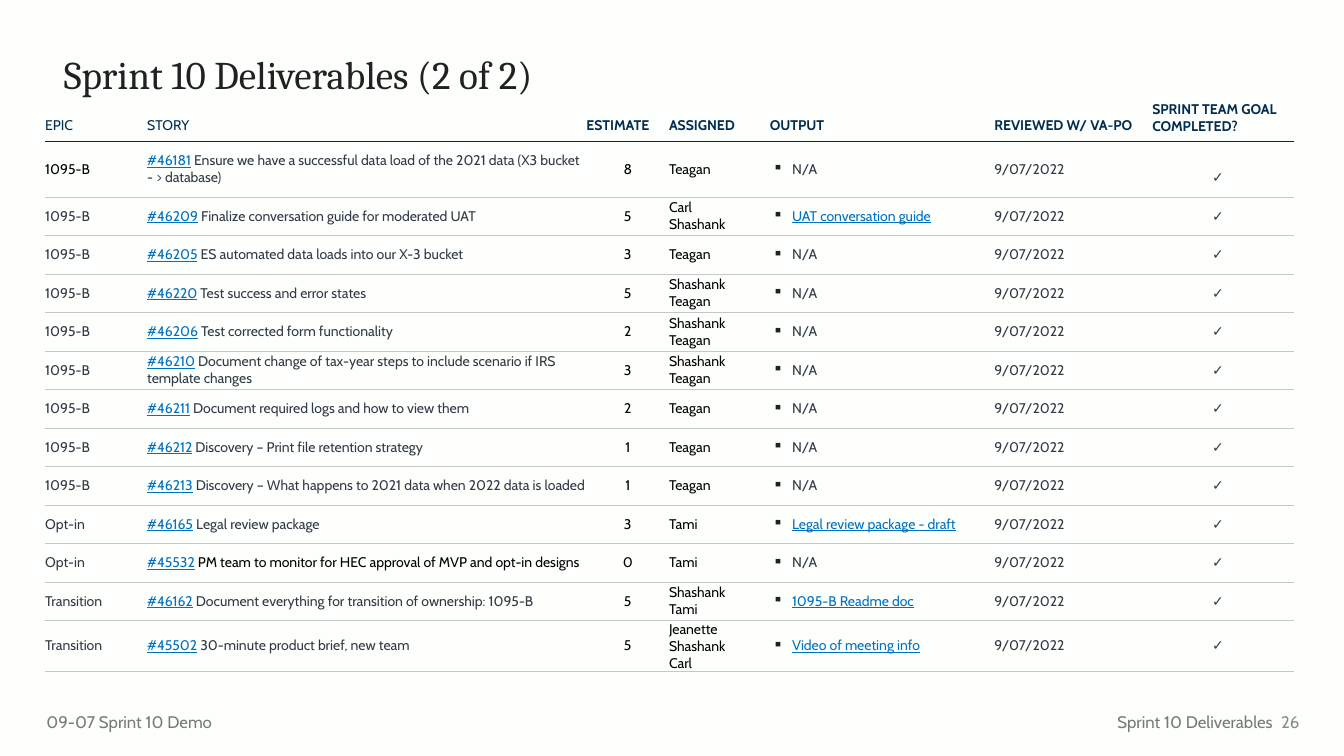
import pptx
import pptx.dml.color
import pptx.enum.text
import pptx.oxml
import pptx.oxml.ns
import pptx.util
from lxml import etree

Cm = pptx.util.Cm
ALIGN = pptx.enum.text.PP_ALIGN
ANCHOR = pptx.enum.text.MSO_ANCHOR
COLORS = {
    "paper": "FDFFFD", "ink": "202120", "navy": "022D50", "black": "000000",
    "slate": "303A46", "link": "0071C0", "rule": "C7C7C7",
    "footer": "747C74", "number": "8A8A8A",
}


def rgb(name):
    return pptx.dml.color.RGBColor.from_string(COLORS[name])


class Deck:
    """Holds the text style and the current slide."""

    base = {"name": "Cabin", "size": pptx.util.Pt(10), "bold": False, "underline": False}

    def __init__(self, prs):
        self.s = prs.slides.add_slide(prs.slide_layouts[6])
        self.s.background.fill.solid()
        self.s.background.fill.fore_color.rgb = rgb("paper")

    def run(self, p, text, color, **style):
        r = p.add_run()
        r.text = text
        for key, value in {**self.base, **style}.items():
            setattr(r.font, key, value)
        r.font.color.rgb = rgb(color)

    def text(self, box, text, color, size, font="Cabin", align=ALIGN.LEFT,
             anchor=ANCHOR.TOP, left=0.25, spacing=None):
        tf = self.s.shapes.add_textbox(*map(Cm, box)).text_frame
        frame = {"word_wrap": True, "vertical_anchor": anchor, "margin_left": Cm(left),
                 "margin_right": Cm(0.25), "margin_top": Cm(0.13), "margin_bottom": Cm(0.13)}
        for key, value in frame.items():
            setattr(tf, key, value)
        p = tf.paragraphs[0]
        p.alignment, p.line_spacing = align, spacing
        self.run(p, text, color, name=font, size=pptx.util.Pt(size))

    def table(self, left, top, widths, heights):
        frame = self.s.shapes.add_table(len(heights), len(widths), Cm(left), Cm(top),
                                        Cm(sum(widths)), Cm(sum(heights)))
        tbl = frame.table
        tbl.first_row = tbl.horz_banding = False
        for column, width in zip(tbl.columns, widths):
            column.width = Cm(width)
        for row, height in zip(tbl.rows, heights):
            row.height = Cm(height)
        return tbl

    def cell(self, cell, lines, margins, top=None, bottom=None,
             anchor=ANCHOR.MIDDLE, align=ALIGN.LEFT, bullet=False):
        """lines: one list of (text, color, style) runs per paragraph."""
        cell.fill.background()
        self.borders(cell, top, bottom)
        cell.vertical_anchor = anchor
        for side, value in zip(("left", "top", "right", "bottom"), margins):
            setattr(cell, "margin_" + side, Cm(value))
        tf = cell.text_frame
        for i, runs in enumerate(lines):
            p = tf.add_paragraph() if i else tf.paragraphs[0]
            p.alignment = align
            if bullet:
                self.bullet(p)
            for text, color, style in runs:
                self.run(p, text, color, **style)

    def borders(self, cell, top, bottom):
        pr = cell._tc.get_or_add_tcPr()
        edges = {"lnL": None, "lnR": None, "lnT": top, "lnB": bottom}
        for i, (tag, line) in enumerate(edges.items()):
            ln = etree.Element(pptx.oxml.ns.qn("a:" + tag))
            if line:
                color, width = line
                ln.set("w", str(int(pptx.util.Pt(width))))
                fill = etree.SubElement(ln, pptx.oxml.ns.qn("a:solidFill"))
                etree.SubElement(fill, pptx.oxml.ns.qn("a:srgbClr"), val=COLORS[color])
            else:
                etree.SubElement(ln, pptx.oxml.ns.qn("a:noFill"))
            pr.insert(i, ln)

    def bullet(self, p):
        pr = p._p.get_or_add_pPr()
        pr.set("marL", str(int(Cm(0.56))))
        pr.set("indent", str(int(Cm(-0.48))))
        color = etree.SubElement(pr, pptx.oxml.ns.qn("a:buClr"))
        etree.SubElement(color, pptx.oxml.ns.qn("a:srgbClr"), val=COLORS["ink"])
        etree.SubElement(pr, pptx.oxml.ns.qn("a:buChar"), char="▪")


HEADERS = ["EPIC", "STORY", "ESTIMATE", "ASSIGNED", "OUTPUT", "REVIEWED W/ VA-PO",
           "SPRINT TEAM GOAL COMPLETED?"]
WIDTHS = [2.57, 11.07, 2.08, 2.54, 5.66, 3.73, 3.81]

# Epic, ticket, story, estimate, assigned, output
STORIES = [
    ("1095-B", "#46181", "Ensure we have a successful data load of the 2021 data (X3 bucket - > database)",
     8, "Teagan", "N/A"),
    ("1095-B", "#46209", "Finalize conversation guide for moderated UAT",
     5, "Carl Shashank", "UAT conversation guide"),
    ("1095-B", "#46205", "ES automated data loads into our X-3 bucket", 3, "Teagan", "N/A"),
    ("1095-B", "#46220", "Test success and error states", 5, "Shashank Teagan", "N/A"),
    ("1095-B", "#46206", "Test corrected form functionality", 2, "Shashank Teagan", "N/A"),
    ("1095-B", "#46210", "Document change of tax-year steps to include scenario if IRS template changes",
     3, "Shashank Teagan", "N/A"),
    ("1095-B", "#46211", "Document required logs and how to view them", 2, "Teagan", "N/A"),
    ("1095-B", "#46212", "Discovery – Print file retention strategy", 1, "Teagan", "N/A"),
    ("1095-B", "#46213", "Discovery – What happens to 2021 data when 2022 data is loaded",
     1, "Teagan", "N/A"),
    ("Opt-in", "#46165", "Legal review package", 3, "Tami", "Legal review package - draft"),
    ("Opt-in", "#45532", "PM team to monitor for HEC approval of MVP and opt-in designs",
     0, "Tami", "N/A"),
    ("Transition", "#46162", "Document everything for transition of ownership: 1095-B",
     5, "Shashank Tami", "1095-B Readme doc"),
    ("Transition", "#45502", "30-minute product brief, new team",
     5, "Jeanette Shashank Carl", "Video of meeting info"),
]


def main():
    prs = pptx.Presentation()
    prs.slide_width, prs.slide_height = Cm(33.87), Cm(19.05)
    deck = Deck(prs)

    # Title
    deck.text((1.14, 1.27, 31.55, 2.08), "Sprint 10 Deliverables (2 of 2)", "ink", 28,
              font="Cambria", left=0.47, spacing=0.9)

    # Table header
    tbl = deck.table(1.14, 2.54, WIDTHS, [1.02, 1.41] + [0.97] * (len(STORIES) - 1))
    head_rule, row_rule = ("ink", 1), ("rule", 0.75)
    last = len(HEADERS) - 1
    for c, label in enumerate(HEADERS):
        margins = (0.25, 0, 0.25, 0) if c == last else (0, 0.25, 0 if c > 3 else 0.25, 0)
        deck.cell(tbl.cell(0, c), [[(label, "navy", {"bold": c > 1})]], margins,
                  bottom=head_rule, anchor=ANCHOR.TOP if c == last else ANCHOR.MIDDLE)

    # Table body
    flush, narrow = (0, 0, 0, 0), (0, 0, 1.02, 0)
    underlined = {"underline": True}
    for n, (epic, ticket, story, estimate, assigned, output) in enumerate(STORIES, 1):
        first = n == 1
        story_color = "black" if ticket == "#45532" else "slate"
        result = (output, "slate", {}) if output == "N/A" else (output, "link", underlined)
        cells = [
            ([[(epic, "black" if first else "slate", {})]], narrow, {}),
            ([[(ticket, "link", underlined), (" " + story, story_color, {})]], flush, {}),
            ([[(str(estimate), "black", {})]], flush, {"align": ALIGN.CENTER}),
            ([[(name, "black", {})] for name in assigned.split()], narrow, {}),
            ([[result]], flush, {"bullet": True}),
            ([[("9/07/2022", "slate", {})]], flush, {}),
            ([[("✓", "slate", {})]], (0, 0.43 if first else 0, 0, 0), {"align": ALIGN.CENTER}),
        ]
        for c, (lines, margins, options) in enumerate(cells):
            deck.cell(tbl.cell(n, c), lines, margins, bottom=row_rule,
                      top=head_rule if first else row_rule, **options)

    # Footer
    deck.text((1.17, 17.81, 7.57, 0.76), "09-07 Sprint 10 Demo", "footer", 12, left=0)
    deck.text((27.66, 17.81, 4.67, 0.76), "Sprint 10 Deliverables", "footer", 12,
              align=ALIGN.RIGHT)
    deck.text((31.88, 17.68, 1.12, 1.02), "26", "number", 12, align=ALIGN.RIGHT,
              anchor=ANCHOR.MIDDLE)

    prs.save("out.pptx")


if __name__ == "__main__":
    main()
